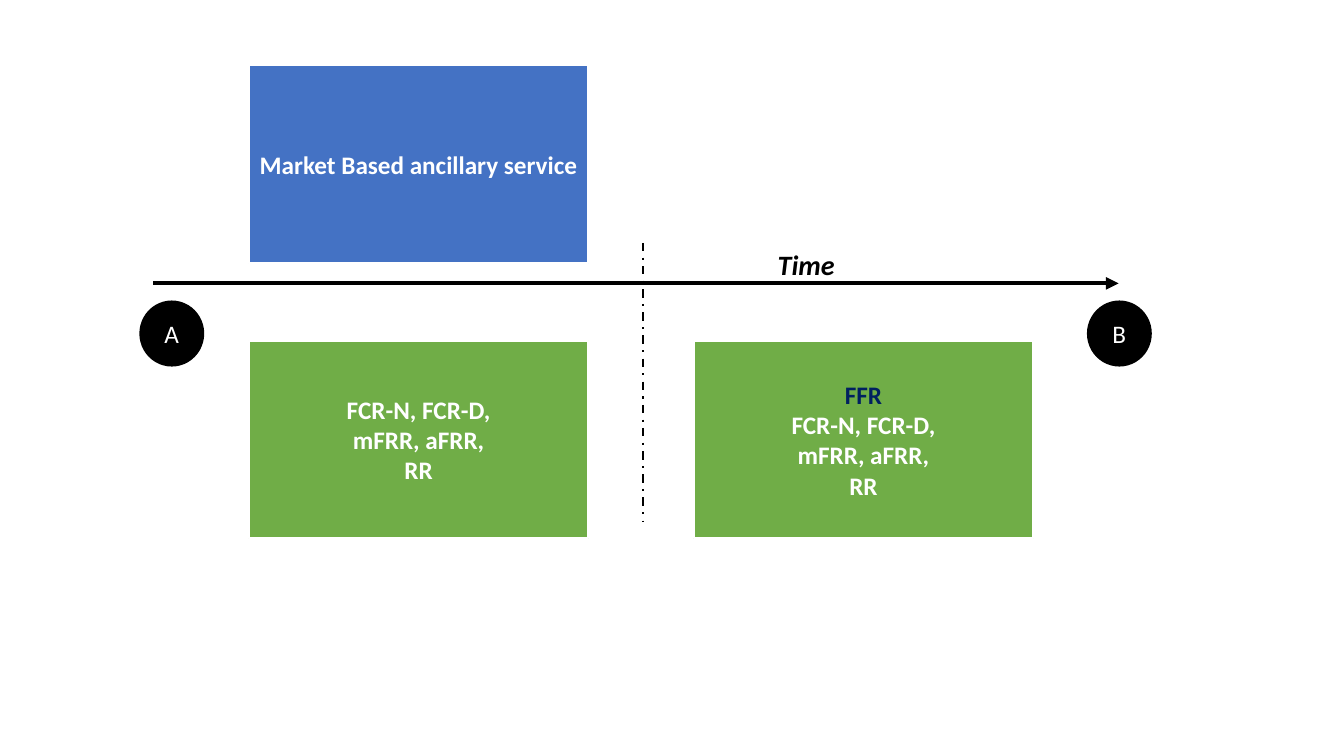
"""Builds a slide with a timeline of ancillary services between A and B."""
from dataclasses import dataclass

from lxml.etree import SubElement
from pptx import Presentation
from pptx.dml.color import RGBColor
from pptx.enum.dml import MSO_LINE
from pptx.enum.shapes import MSO_CONNECTOR, MSO_SHAPE
from pptx.enum.text import MSO_ANCHOR, MSO_AUTO_SIZE, PP_ALIGN
from pptx.oxml.ns import qn
from pptx.util import Cm, Pt


@dataclass(frozen=True)
class Theme:
    font: str = "Calibri"
    body: Pt = Pt(18)
    label: Pt = Pt(20)
    black: RGBColor = RGBColor(0, 0, 0)
    white: RGBColor = RGBColor(255, 255, 255)
    blue: RGBColor = RGBColor(0x44, 0x72, 0xC4)
    green: RGBColor = RGBColor(0x70, 0xAD, 0x47)
    navy: RGBColor = RGBColor(0x00, 0x20, 0x60)


theme = Theme()


def add_node(s, kind, box, fill, border, border_width, lines, bold):
    sp = s.shapes.add_shape(kind, *[Cm(v) for v in box])
    sp.shadow.inherit = False
    sp.fill.solid()
    sp.fill.fore_color.rgb = fill
    sp.line.color.rgb = border
    sp.line.width = border_width
    tf = sp.text_frame
    tf.word_wrap = True
    tf.vertical_anchor = MSO_ANCHOR.MIDDLE
    tf.margin_left = tf.margin_right = Cm(0.2)
    tf.text = "\n".join(lines)
    for p in tf.paragraphs:
        p.alignment = PP_ALIGN.CENTER
        p.font.name = theme.font
        p.font.size = theme.body
        p.font.bold = bold
        p.font.color.rgb = theme.navy if p.text == "FFR" else theme.white


def add_line(s, x1, y1, x2, y2, width):
    c = s.shapes.add_connector(MSO_CONNECTOR.STRAIGHT, Cm(x1), Cm(y1), Cm(x2), Cm(y2))
    c.line.color.rgb = theme.black
    c.line.width = width
    return c


prs = Presentation()
prs.slide_width, prs.slide_height = Cm(33.87), Cm(19.05)
s = prs.slides.add_slide(prs.slide_layouts[6])

divider = add_line(s, 16.21, 6.12, 16.21, 13.16, Pt(1.5))
divider.line.dash_style = MSO_LINE.DASH_DOT
axis = add_line(s, 3.86, 7.14, 28.19, 7.14, Pt(3))
SubElement(axis.line._get_or_add_ln(), qn("a:tailEnd"), type="triangle")
for c in (divider, axis):
    SubElement(c._element.spPr, qn("a:effectLst"))

reserves = ["FCR-N, FCR-D,", "mFRR, aFRR,", "RR"]
left, right, top, bottom = 6.27, 17.48, 1.65, 8.59
for x, y, fill, lines in [
    (left, top, theme.blue, ["Market Based ancillary service"]),
    (left, bottom, theme.green, reserves),
    (right, bottom, theme.green, ["FFR"] + reserves),
]:
    add_node(s, MSO_SHAPE.RECTANGLE, (x, y, 8.56, 4.98), fill, theme.white, Pt(1.5), lines, True)

for x, name in [(3.53, "A"), (27.41, "B")]:
    add_node(s, MSO_SHAPE.OVAL, (x, 7.59, 1.6, 1.63), theme.black, theme.black, Pt(1), [name], False)

tf = s.shapes.add_textbox(Cm(19.35), Cm(6.12), Cm(1.96), Cm(1.12)).text_frame
tf.word_wrap = False
tf.auto_size = MSO_AUTO_SIZE.SHAPE_TO_FIT_TEXT
p = tf.paragraphs[0]
p.text = "Time"
p.font.name = theme.font
p.font.size = theme.label
p.font.bold = p.font.italic = True
p.font.color.rgb = theme.black

prs.save("out.pptx")
